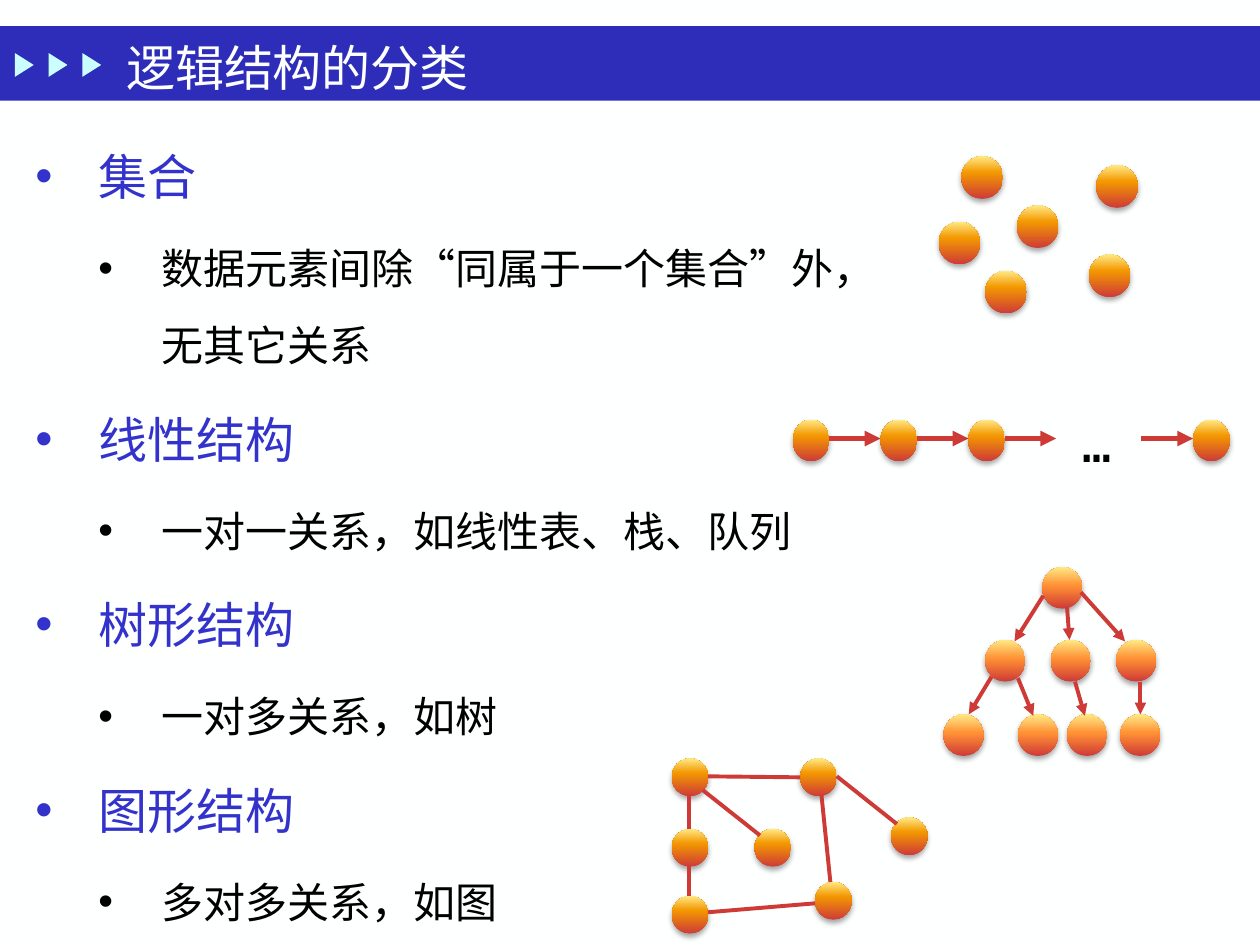
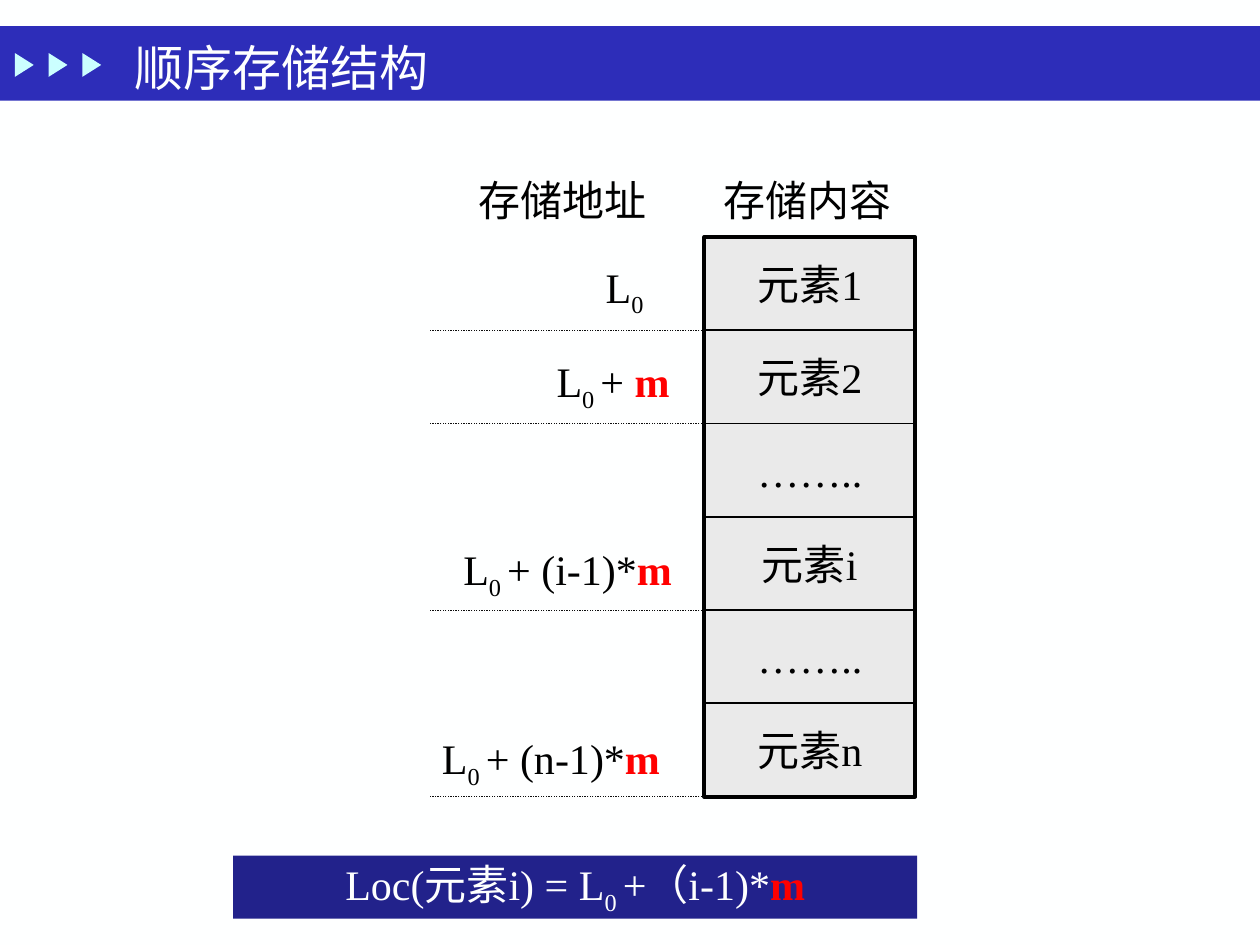
from copy import deepcopy

from lxml import etree
from pptx import Presentation
from pptx.dml.color import RGBColor
from pptx.enum.dml import MSO_LINE
from pptx.enum.shapes import MSO_CONNECTOR, MSO_SHAPE
from pptx.enum.text import MSO_ANCHOR, MSO_AUTO_SIZE, PP_ALIGN
from pptx.oxml.ns import qn
from pptx.util import Cm, Pt

RECT, OVAL, TRI = MSO_SHAPE.RECTANGLE, MSO_SHAPE.OVAL, MSO_SHAPE.ISOSCELES_TRIANGLE
STRAIGHT, DOTS = MSO_CONNECTOR.STRAIGHT, MSO_LINE.ROUND_DOT
LEFT, CENTER = PP_ALIGN.LEFT, PP_ALIGN.CENTER
MIDDLE, TOP = MSO_ANCHOR.MIDDLE, MSO_ANCHOR.TOP
FIXED = MSO_AUTO_SIZE.NONE

TIMES, HAN, MONO = "Times New Roman", "Noto Sans CJK SC", "DejaVu Sans Mono"
WHITE, BLACK, BLUE, BAND = "FEFFFF", "000000", "3333CC", "2D2DB9"
ARROW, NAVY, GRAY, CYAN = "CE3B37", "22228B", "EAEAEA", "CBFFFF"
RED, DOT = "FF0000", "0D0D0D"
AMBER = [(0, ARROW), (0.62, "F39801"), (1, "FFE985")]
CORAL = [(0, ARROW), (0.55, "FF9034"), (1, "FFE985")]

LIST = [
    ("集合", "数据元素间除“同属于一个集合”外，无其它关系"),
    ("线性结构", "一对一关系，如线性表、栈、队列"),
    ("树形结构", "一对多关系，如树"),
    ("图形结构", "多对多关系，如图"),
]
SET = [(18.92, 4.47), (19.38, 3.15), (20.5, 4.14), (19.86, 5.46), (22.1, 3.33), (21.95, 5.13)]
TREE = [
    (11.43, [21.01]),
    (12.9, [19.86, 21.18, 22.5]),
    (14.4, [19.02, 20.52, 21.51, 22.58]),
]
LIMBS = [
    (21.03, 12.01, 20.45, 12.93), (21.51, 12.24, 21.56, 12.9),
    (21.79, 11.94, 22.68, 12.93), (19.99, 13.64, 19.53, 14.4),
    (20.52, 13.67, 20.83, 14.43), (21.67, 13.74, 21.87, 14.43),
    (22.99, 13.74, 22.99, 14.4),
]
GRAPH = [
    (13.54, 15.29), (16.13, 15.29), (13.54, 16.71), (15.21, 16.71),
    (16.43, 17.78), (13.54, 18.06), (17.96, 16.48),
]
EDGES = [
    (14.17, 15.93, 15.32, 16.84), (14.27, 18.39, 16.43, 18.21),
    (16.56, 16.03, 16.74, 17.78), (13.89, 16.03, 13.89, 16.71),
    (13.89, 17.45, 13.89, 18.06), (16.87, 15.65, 18.08, 16.61),
    (14.27, 15.65, 16.13, 15.67),
]
CELLS = ["元素1", "元素2", "……..", "元素i", "……..", "元素n"]
ROWS = [(0, 11.96, ""), (1, 10.97, "+ "), (3, 9.09, "+ (i-1)*"), (5, 8.66, "+ (n-1)*")]


def rgb(code):
    return RGBColor.from_string(code)


def add_run(para, text, size=24, color=BLACK, font=TIMES, sub=False, bold=None):
    run = para.add_run()
    run.text = text
    run.font.size = Pt(size)
    run.font.color.rgb = rgb(color)
    run.font.name = font
    run.font.bold = bold
    props = run._r.get_or_add_rPr()
    etree.SubElement(props, qn("a:ea"), typeface=HAN if font == TIMES else font)
    if sub:
        props.set("baseline", "-25000")


def add_sum(para, lead, tail, color=BLACK):
    add_run(para, lead, color=color)
    add_run(para, "0 " if tail else "0", color=color, sub=True)
    if tail:
        add_run(para, tail, color=color)
        add_run(para, "m", color=RED, bold=True)


def place(shape, x, y, w, h):
    shape.left, shape.top, shape.width, shape.height = Cm(x), Cm(y), Cm(w), Cm(h)


def set_frame(shape, align=LEFT, anchor=MIDDLE):
    frame = shape.text_frame
    frame.word_wrap = True
    frame.auto_size = FIXED
    frame.vertical_anchor = anchor
    para = frame.paragraphs[0]
    para.alignment = align
    return para


def add_box(slide, kind, x, y, w, h, fill=None, line=None, width=1):
    box = slide.shapes.add_shape(kind, Cm(x), Cm(y), Cm(w), Cm(h))
    box.shadow.inherit = False
    if fill:
        box.fill.solid()
        box.fill.fore_color.rgb = rgb(fill)
    else:
        box.fill.background()
    if line:
        box.line.color.rgb = rgb(line)
        box.line.width = Pt(width)
    else:
        box.line.fill.background()
    return box


def add_label(slide, x, y, w, h=1.27):
    return set_frame(slide.shapes.add_textbox(Cm(x), Cm(y), Cm(w), Cm(h)))


def add_node(slide, x, y, w, h, tones=AMBER):
    node = add_box(slide, OVAL, x, y, w, h)
    node.fill.gradient()
    node.fill.gradient_angle = 90
    props = node._element.spPr
    stops = props.find(".//" + qn("a:gsLst"))
    stops.insert(1, deepcopy(stops[0]))
    for stop, (spot, tone) in zip(node.fill.gradient_stops, tones):
        stop.position = spot
        stop.color.rgb = rgb(tone)
    shade = etree.SubElement(
        props.find(qn("a:effectLst")), qn("a:outerShdw"),
        blurRad=str(Pt(3.1)), dist=str(Pt(1.8)), dir="5400000", rotWithShape="0")
    tint = etree.SubElement(shade, qn("a:srgbClr"), val=BLACK)
    etree.SubElement(tint, qn("a:alpha"), val="35000")


def add_line(slide, ends, color=ARROW, width=2.25, head=False, dash=None):
    line = slide.shapes.add_connector(STRAIGHT, *[Cm(end) for end in ends])
    line.line.color.rgb = rgb(color)
    line.line.width = Pt(width)
    if dash:
        line.line.dash_style = dash
    props = line._element.spPr
    if head:
        etree.SubElement(props.find(qn("a:ln")), qn("a:tailEnd"), type="triangle")
    etree.SubElement(props, qn("a:effectLst"))


def add_page(deck, layout, title, x, y):
    slide = deck.slides.add_slide(deck.slide_layouts[layout])
    slide.background.fill.solid()
    slide.background.fill.fore_color.rgb = rgb(WHITE)
    band = add_box(slide, RECT, 0, 0.53, 25.4, 1.5, BAND)
    tree = band._element.getparent()
    tree.remove(band._element)
    tree.insert(2, band._element)
    for i in range(3):
        mark = add_box(slide, TRI, 0.25 + 0.68 * i, 1.12, 0.48, 0.38, CYAN)
        mark.rotation = 90
    head = slide.shapes.title
    place(head, x, y, 8.2, 1.5)
    add_run(set_frame(head), title, 28, WHITE)
    return slide


def add_item(para, text, level, size, color, font, pitch):
    props = para._p.get_or_add_pPr()
    props.set("marL", str(Cm(1.27 * (level + 1))))
    props.set("indent", str(Cm(-1.27)))
    etree.SubElement(props, qn("a:buFont"), typeface="Arial")
    etree.SubElement(props, qn("a:buChar"), char="•")
    para.level = level
    para.alignment = LEFT
    para.line_spacing = Pt(pitch)
    add_run(para, text, size, color, font)


def add_list(slide):
    body = slide.placeholders[1]
    place(body, 0.46, 2.25, 17.53, 16.46)
    para = set_frame(body, anchor=TOP)
    frame = body.text_frame
    for i, (name, note) in enumerate(LIST):
        if i:
            para = frame.add_paragraph()
        para.space_before = Pt(6 if i else 0)
        add_item(para, name, 0, 28, BLUE, HAN, 50)
        para = frame.add_paragraph()
        para.space_before = Pt(6)
        add_item(para, note, 1, 24, BLACK, TIMES, 44)


def draw_chain(slide):
    for i in range(3):
        x = 15.98 + 1.77 * i
        add_node(slide, x, 8.46, 0.74, 0.84)
        add_line(slide, (x + 0.74, 8.84, x + 1.77, 8.84), width=3, head=True)
    add_run(add_label(slide, 21.56, 8.35, 1.17, 1.14), "…", 28, font=MONO)
    add_line(slide, (23.01, 8.84, 24.05, 8.84), width=3, head=True)
    add_node(slide, 24.05, 8.46, 0.74, 0.84)


def draw_tree(slide):
    for y, row in TREE:
        for x in row:
            add_node(slide, x, y, 0.81, 0.84, CORAL)
    for ends in LIMBS:
        add_line(slide, ends, head=True)


def draw_graph(slide):
    for x, y in GRAPH:
        add_node(slide, x, y, 0.74, 0.76)
    for ends in EDGES:
        add_line(slide, ends)


def draw_store(slide):
    x, top, w, h = 14.2, 4.78, 4.25, 1.88
    for i, text in enumerate(CELLS):
        cell = add_box(slide, RECT, x, top + h * i, w, h, GRAY, BLACK)
        add_run(set_frame(cell, CENTER), text)
    add_box(slide, RECT, x, top, w, h * len(CELLS), line=BLACK, width=2.25)
    for left, text in ((9.4, "存储地址"), (14.33, "存储内容")):
        add_run(add_label(slide, left, 3.4, 4.8), text)
    for row, left, tail in ROWS:
        add_sum(add_label(slide, left, 5.21 + 1.9 * row, 5.82), "L", tail)
    for row in (1, 2, 4, 6):
        y = top + h * row
        add_line(slide, (x, y, 8.66, y), DOT, 0.75, dash=DOTS)


def main():
    deck = Presentation()
    deck.slide_width, deck.slide_height = Cm(25.4), Cm(19.05)

    kinds = add_page(deck, 1, "逻辑结构的分类", 2.29, 0.6)
    add_list(kinds)
    for x, y in SET:
        add_node(kinds, x, y, 0.84, 0.86)
    draw_chain(kinds)
    draw_tree(kinds)
    draw_graph(kinds)

    store = add_page(deck, 5, "顺序存储结构", 2.46, 0.6)
    draw_store(store)
    bar = add_box(store, RECT, 4.7, 17.25, 13.79, 1.27, NAVY)
    add_sum(set_frame(bar, CENTER), "Loc(元素i) = L", "+（i-1)*", WHITE)

    deck.save("out.pptx")


if __name__ == "__main__":
    main()
